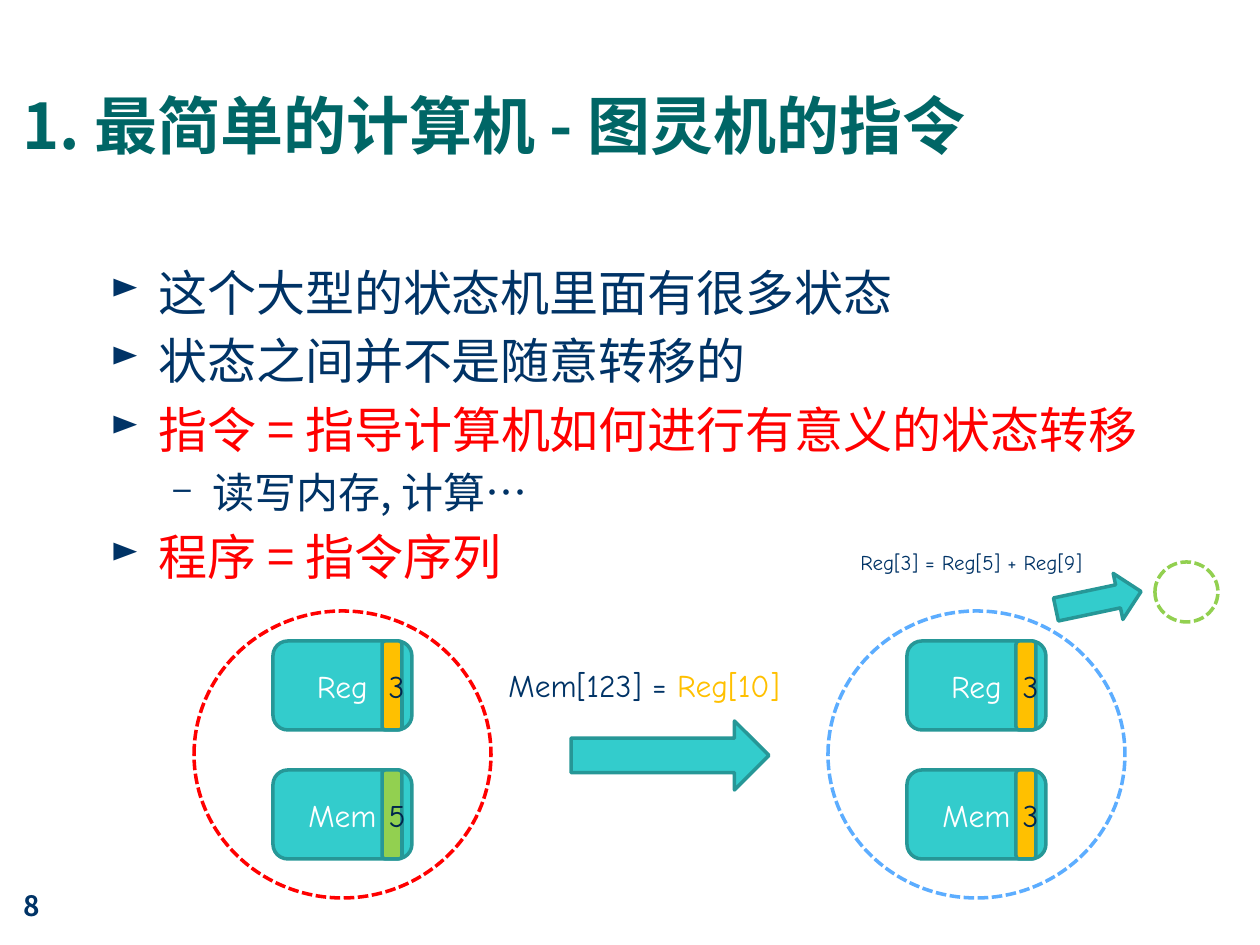
"""Build the slide on the instructions of a Turing machine."""
from lxml.etree import SubElement
from pptx import Presentation
from pptx.dml.color import RGBColor
from pptx.enum.dml import MSO_LINE
from pptx.enum.shapes import MSO_SHAPE as Shape
from pptx.enum.text import MSO_ANCHOR as Anchor, PP_ALIGN as Align
from pptx.oxml.ns import qn
from pptx.util import Pt

PX = 914400 / 126
COLORS = {
    "title": "006666", "navy": "003366", "dark": "00264D", "red": "FF0000",
    "teal": "33CCCC", "edge": "269797", "amber": "FFC000", "green": "92D050",
    "blue": "5CADFF", "white": "FFFFFF",
}
CJK, COMIC = "Noto Sans CJK SC", "Comic Neue"

BULLETS = [
    (0, "这个大型的状态机里面有很多状态", "navy"),
    (0, "状态之间并不是随意转移的", "navy"),
    (0, "指令 = 指导计算机如何进行有意义的状态转移", "red"),
    (1, "读写内存, 计算…", "navy"),
    (0, "程序 = 指令序列", "red"),
]
LEVELS = [
    {"size": 28, "char": "►", "margin": 48, "hanging": 48},
    {"size": 24, "char": "–", "margin": 102, "hanging": 39},
]
LABELS = [
    ((10, 10, 1092, 158), [("1. 最简单的计算机 - 图灵机的指令", "title")],
     {"size": 36, "name": CJK, "bold": True}, {"vertical_anchor": Anchor.BOTTOM}),
    ((11, 861, 81, 67), [("8", "navy")],
     {"size": 16, "name": CJK, "bold": True}, {"vertical_anchor": Anchor.BOTTOM}),
    ((496, 660, 333, 50), [("Mem[123] = ", "navy"), ("Reg[10]", "amber")],
     {"size": 18, "name": COMIC}, {}),
    ((848, 543, 280, 38), [("Reg[3] = Reg[5] + Reg[9]", "navy")],
     {"size": 12, "name": COMIC}, {}),
]
ARROWS = [((1055, 577, 87, 47), -11.9), ((571, 721, 198, 69), 0)]
STATES = [
    (194, "red", [("Reg", "3", "amber"), ("Mem", "5", "green")]),
    (828, "blue", [("Reg", "3", "amber"), ("Mem", "3", "amber")]),
]
STORE_TOP, STORE_STEP, STORE_HEIGHT = 641, 129, 89


def emu(box):
    return [round(value * PX) for value in box]


def rgb(color):
    return RGBColor.from_string(COLORS[color])


def set_all(target, values):
    for name, value in values.items():
        setattr(target, name, value)


def write(paragraph, text, color, size, name, bold=False):
    run = paragraph.add_run()
    run.text = text
    set_all(run.font, {"size": Pt(size), "name": name, "bold": bold})
    run.font.color.rgb = rgb(color)
    SubElement(run.font._element, qn("a:ea"), typeface=name)


def add_text(slide, box, frame_format):
    frame = slide.shapes.add_textbox(*emu(box)).text_frame
    set_all(frame, {"word_wrap": True, **frame_format})
    return frame


def add_bullet(paragraph, level, color):
    properties = paragraph._p.get_or_add_pPr()
    properties.set("marL", str(round(level["margin"] * PX)))
    properties.set("indent", str(round(-level["hanging"] * PX)))
    bullet_color = SubElement(properties, qn("a:buClr"))
    SubElement(bullet_color, qn("a:srgbClr"), val=COLORS[color])
    SubElement(properties, qn("a:buSzPct"), val="75000")
    SubElement(properties, qn("a:buChar"), char=level["char"])


def add_figure(shapes, kind, box, fill=None, line="edge", text="", color="white"):
    shape = shapes.add_shape(kind, *emu(box))
    shape.shadow.inherit = False
    if fill:
        shape.fill.solid()
        shape.fill.fore_color.rgb = rgb(fill)
    else:
        shape.fill.background()
        shape.line.dash_style = MSO_LINE.SQUARE_DOT
    shape.line.color.rgb = rgb(line)
    shape.line.width = Pt(2)
    if text:
        shape.text_frame.vertical_anchor = Anchor.MIDDLE
        paragraph = shape.text_frame.paragraphs[0]
        paragraph.alignment = Align.CENTER
        write(paragraph, text, color, 18, COMIC)
    return shape


def add_state(slide, left, outline, stores):
    shapes = slide.shapes.add_group_shape().shapes
    tops = [STORE_TOP + row * STORE_STEP for row in range(len(stores))]
    for top, (name, _, _) in zip(tops, stores):
        add_figure(shapes, Shape.ROUNDED_RECTANGLE,
                   (left + 79, top, 139, STORE_HEIGHT), "teal", text=name)
    add_figure(shapes, Shape.OVAL, (left, 611, 297, 287), line=outline)
    for top, (_, value, fill) in zip(tops, stores):
        add_figure(shapes, Shape.ROUNDED_RECTANGLE,
                   (left + 188, top, 20, STORE_HEIGHT), fill, text=value, color="dark")


def main():
    presentation = Presentation()
    presentation.slide_width, presentation.slide_height = emu((1260, 945))
    slide = presentation.slides.add_slide(presentation.slide_layouts[6])

    for box, runs, font, frame_format in LABELS:
        paragraph = add_text(slide, box, frame_format).paragraphs[0]
        for text, color in runs:
            write(paragraph, text, color, **font)

    body = add_text(slide, (98, 256, 1137, 663), {})
    for index, (depth, text, color) in enumerate(BULLETS):
        paragraph = body.add_paragraph() if index else body.paragraphs[0]
        level = LEVELS[depth]
        size = level["size"]
        set_all(paragraph, {"level": depth, "line_spacing": Pt(size * 1.2),
                            "space_before": Pt(size * 0.2)})
        add_bullet(paragraph, level, "navy")
        write(paragraph, text, color, size, CJK)

    for box, rotation in ARROWS:
        add_figure(slide.shapes, Shape.RIGHT_ARROW, box, "teal").rotation = rotation
    add_figure(slide.shapes, Shape.OVAL, (1155, 562, 63, 60), line="green")
    for state in STATES:
        add_state(slide, *state)
    presentation.save("out.pptx")


if __name__ == "__main__":
    main()
